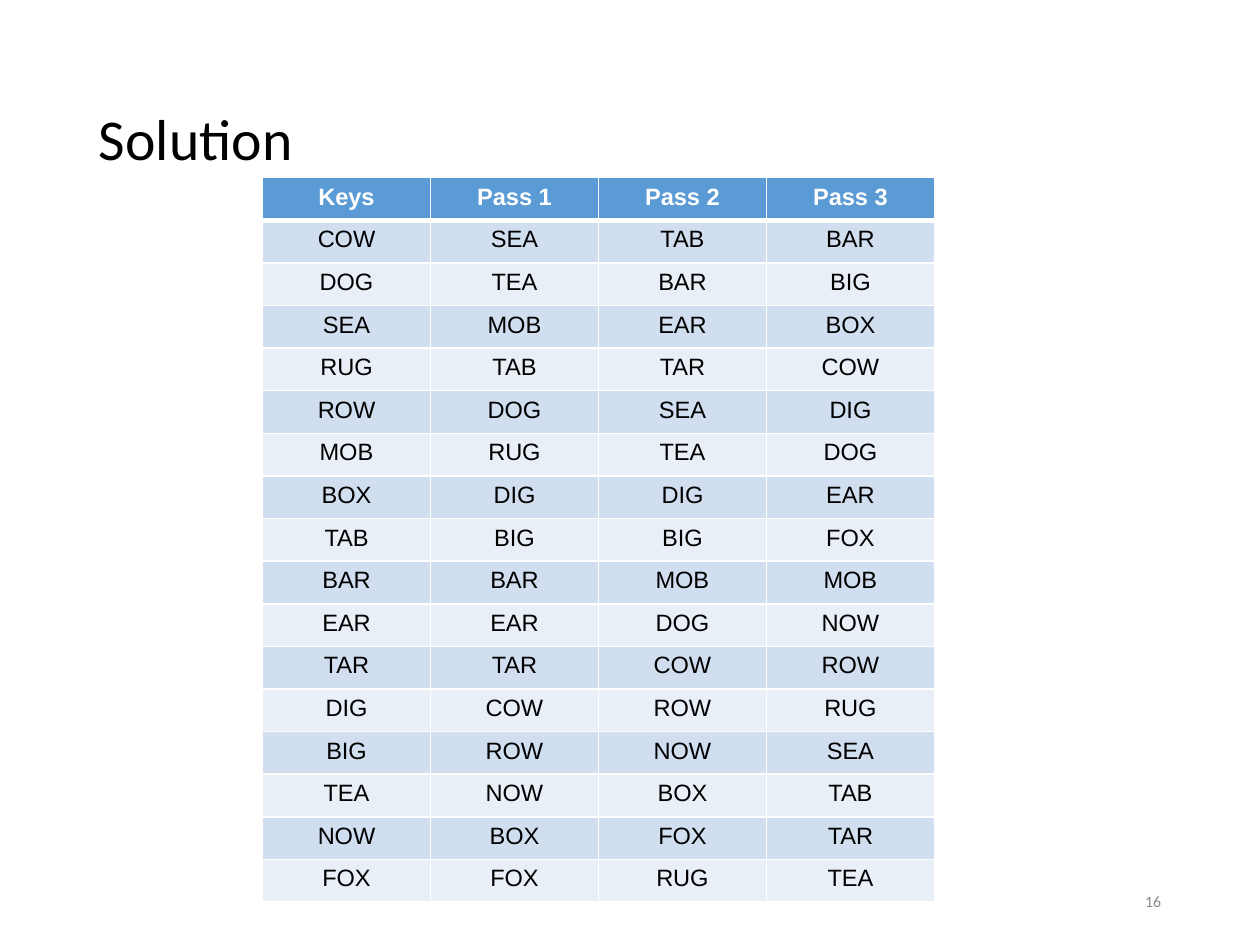
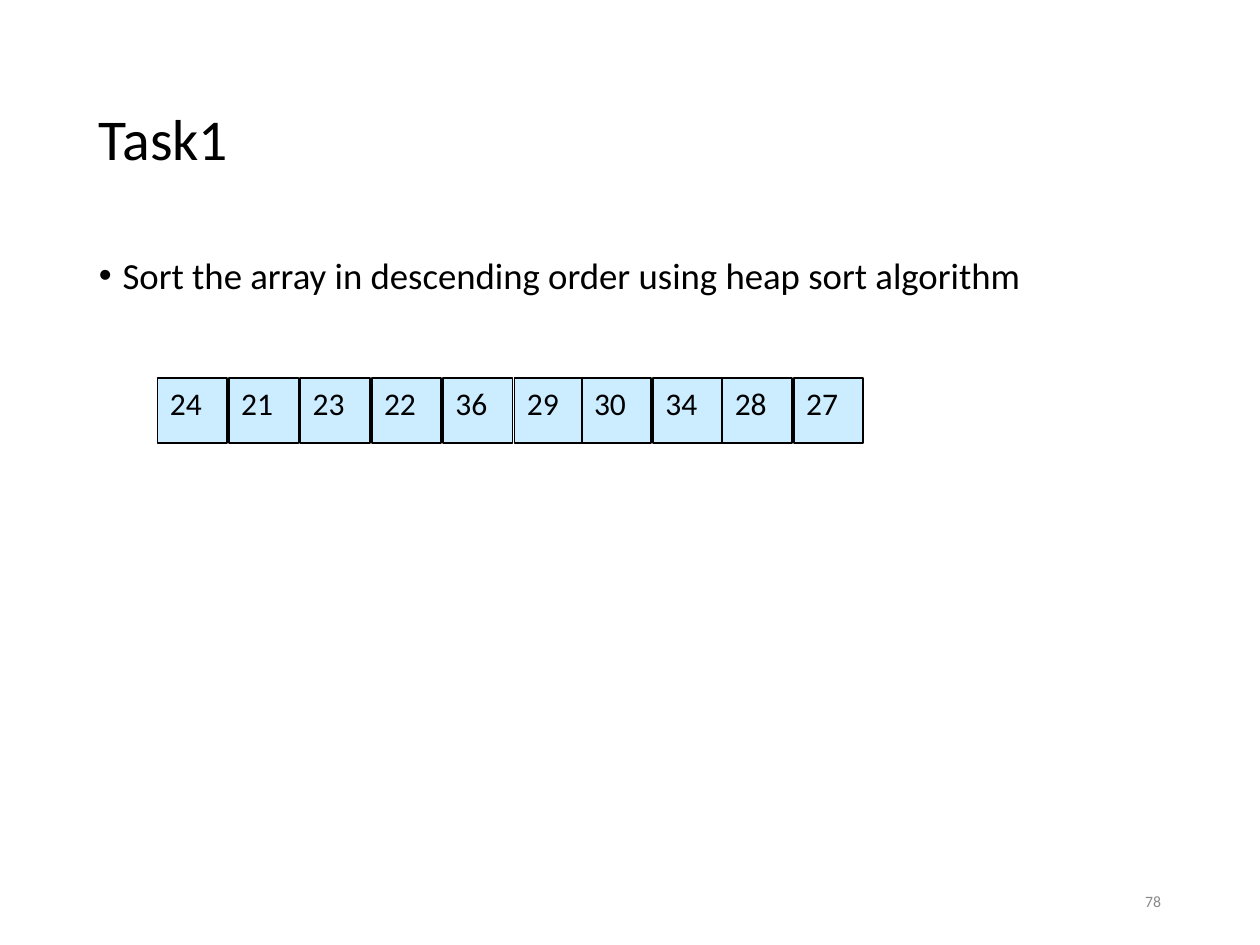
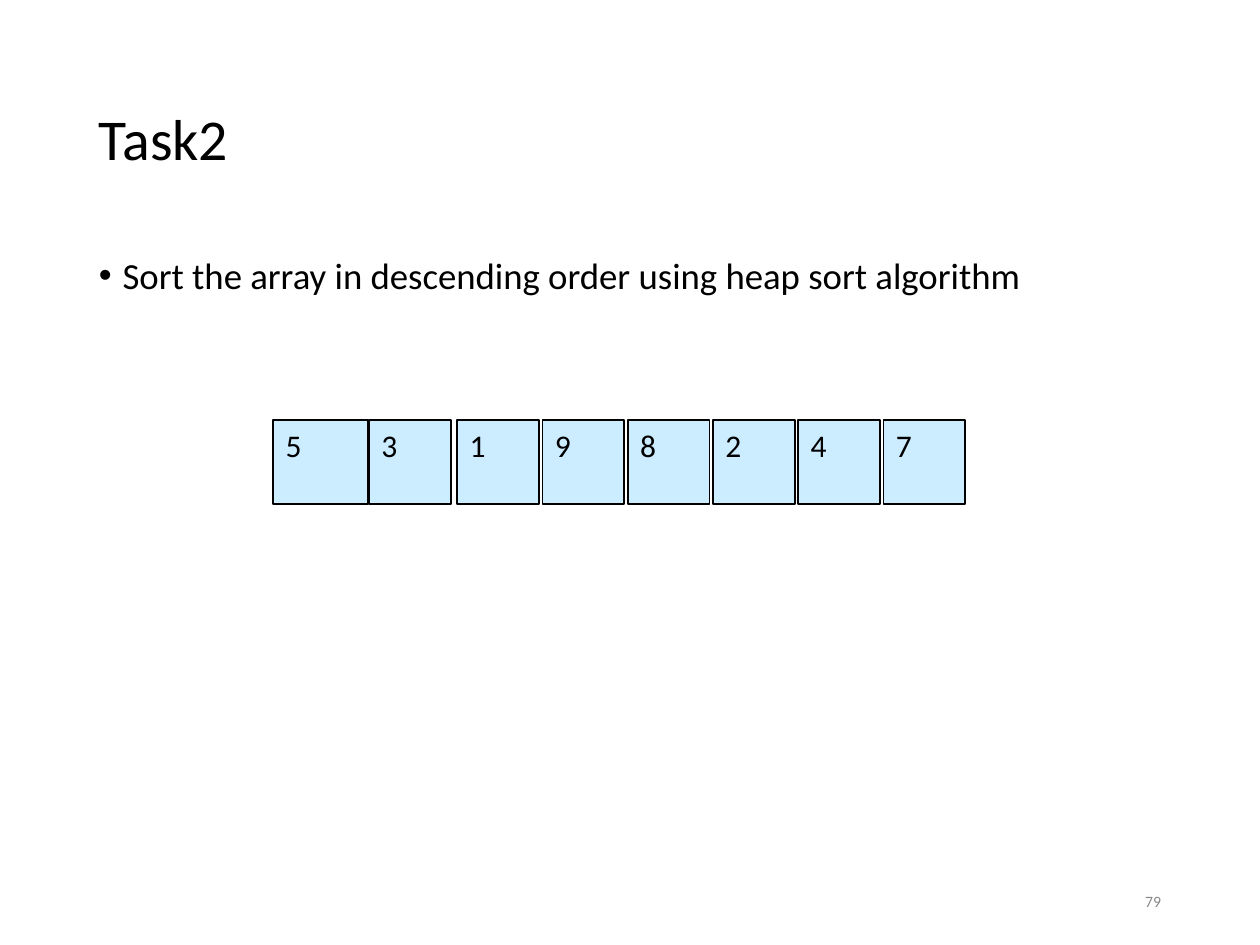
from lxml.etree import SubElement as Sub
from pptx import Presentation
from pptx.dml.color import RGBColor as RGB
from pptx.enum.shapes import MSO_SHAPE as Form
from pptx.enum.text import MSO_ANCHOR as Anchor, PP_ALIGN as Align
from pptx.oxml.ns import qn
from pptx.util import Pt

# Colours
BLACK = RGB(0x00, 0x00, 0x00)
WHITE = RGB(0xFF, 0xFF, 0xFF)
GREY = RGB(0x88, 0x88, 0x88)
BLUE = RGB(0x5B, 0x9B, 0xD5)
BANDS = (RGB(0xD0, 0xDE, 0xEF), RGB(0xE9, 0xEF, 0xF7))
SKY = RGB(0xCC, 0xEC, 0xFF)

# Text styles
HEAD = {"name": "Calibri", "size": Pt(33), "color": BLACK}
BODY = {"name": "Calibri", "size": Pt(21), "color": BLACK}
FOOT = {"name": "Calibri", "size": Pt(9), "color": GREY}
ITEM = {"name": "Calibri", "size": Pt(18), "color": BLACK}
KEY = {"name": "Arial", "size": Pt(13.5), "color": BLACK, "bold": False}
TOP = {**KEY, "color": WHITE, "bold": True}

# Boxes: left, top, width, height in points
TITLE = (49.5, 28.75, 621, 104.4)
TEXT = (49.5, 143.75, 621, 342.6)
PAGE = (508.5, 500.5, 162, 28.75)
GRID = (150, 101.5, 384, 413.95)

COLS = {
    "Keys": "COW DOG SEA RUG ROW MOB BOX TAB BAR EAR TAR DIG BIG TEA NOW FOX",
    "Pass 1": "SEA TEA MOB TAB DOG RUG DIG BIG BAR EAR TAR COW ROW NOW BOX FOX",
    "Pass 2": "TAB BAR EAR TAR SEA TEA DIG BIG MOB DOG COW ROW NOW BOX FOX RUG",
    "Pass 3": "BAR BIG BOX COW DIG DOG EAR FOX MOB NOW ROW RUG SEA TAB TAR TEA",
}
ORDER = "Sort the array in descending order using heap sort algorithm"

# Each task: title, page, row origin, box height, values, widths, steps
TASKS = (
    ("Task1", 78, (90, 216), 37, (24, 21, 23, 22, 36, 29, 30, 34, 28, 27),
     [39.8] * 10, [40.8] * 5 + [38.4, 40.8, 39.6, 40.8]),
    ("Task2", 79, (156.2, 240), 48, (5, 3, 1, 9, 8, 2, 4, 7),
     [54] + [46.8] * 7, [54.7, 50.4] + [48.7] * 5),
)


def write(frame, text, style, align=Align.LEFT, lead=None):
    """Put one styled paragraph into a text frame."""
    par = frame.paragraphs[0]
    par.alignment = align
    if lead:
        par.line_spacing = lead
    run = par.add_run()
    run.text = text
    for name, value in style.items():
        if name == "color":
            run.font.color.rgb = value
        else:
            setattr(run.font, name, value)
    return par


def label(slide, box, text, style, anchor=Anchor.MIDDLE, **form):
    frame = slide.shapes.add_textbox(*map(Pt, box)).text_frame
    frame.word_wrap = True
    frame.vertical_anchor = anchor
    return write(frame, text, style, **form)


def base(deck, title, page):
    """Start a slide with its title and page number."""
    slide = deck.slides.add_slide(deck.slide_layouts[6])
    label(slide, TITLE, title, HEAD, lead=0.9)
    label(slide, PAGE, str(page), FOOT, align=Align.RIGHT)
    return slide


def bullet(slide, box, text):
    props = label(slide, box, text, BODY, Anchor.TOP, lead=0.9)._p.get_or_add_pPr()
    props.set("marL", str(Pt(13.5)))
    props.set("indent", str(-Pt(13.5)))
    Sub(props, qn("a:buFont"), typeface="Arial")
    Sub(props, qn("a:buChar"), char="•")


def edge(cell, row):
    """Draw white borders, thick below the header row."""
    props = cell._tc.get_or_add_tcPr()
    wide = {"T": row == 1, "B": row == 0}
    for side in "LRTB":
        width = Pt(3 if wide.get(side) else 1)
        line = Sub(props, qn("a:ln" + side), w=str(width))
        Sub(Sub(line, qn("a:solidFill")), qn("a:srgbClr"), val=str(WHITE))


def table(slide, box, data):
    cols = [[head, *keys.split()] for head, keys in data.items()]
    count = len(cols[0])
    grid = slide.shapes.add_table(count, len(cols), *map(Pt, box)).table
    grid.horz_banding = False
    for col in grid.columns:
        col.width = Pt(box[2] / len(cols))
    for row in grid.rows:
        row.height = Pt(box[3] / count)
    for x, col in enumerate(cols):
        for y, text in enumerate(col):
            cell = grid.cell(y, x)
            edge(cell, y)
            cell.fill.solid()
            cell.fill.fore_color.rgb = BANDS[(y - 1) % 2] if y else BLUE
            write(cell.text_frame, text, KEY if y else TOP, Align.CENTER)


def array(slide, spot, high, values, widths, steps):
    """Lay out the array as a grouped row of boxes."""
    left, top = spot
    group = slide.shapes.add_group_shape()
    for value, wide, step in zip(values, widths, [*steps, 0]):
        box = group.shapes.add_shape(Form.RECTANGLE, *map(Pt, (left, top, wide, high)))
        box.shadow.inherit = False
        box.fill.solid()
        box.fill.fore_color.rgb = SKY
        box.line.color.rgb = BLACK
        box.line.width = Pt(1)
        box.text_frame.vertical_anchor = Anchor.TOP
        write(box.text_frame, str(value), ITEM)
        left += step


def main():
    deck = Presentation()
    deck.slide_width, deck.slide_height = Pt(720), Pt(540)

    # Radix sort solution
    table(base(deck, "Solution", 16), GRID, COLS)

    # Heap sort tasks
    for title, page, *row in TASKS:
        slide = base(deck, title, page)
        bullet(slide, TEXT, ORDER)
        array(slide, *row)

    deck.save("out.pptx")


if __name__ == "__main__":
    main()
